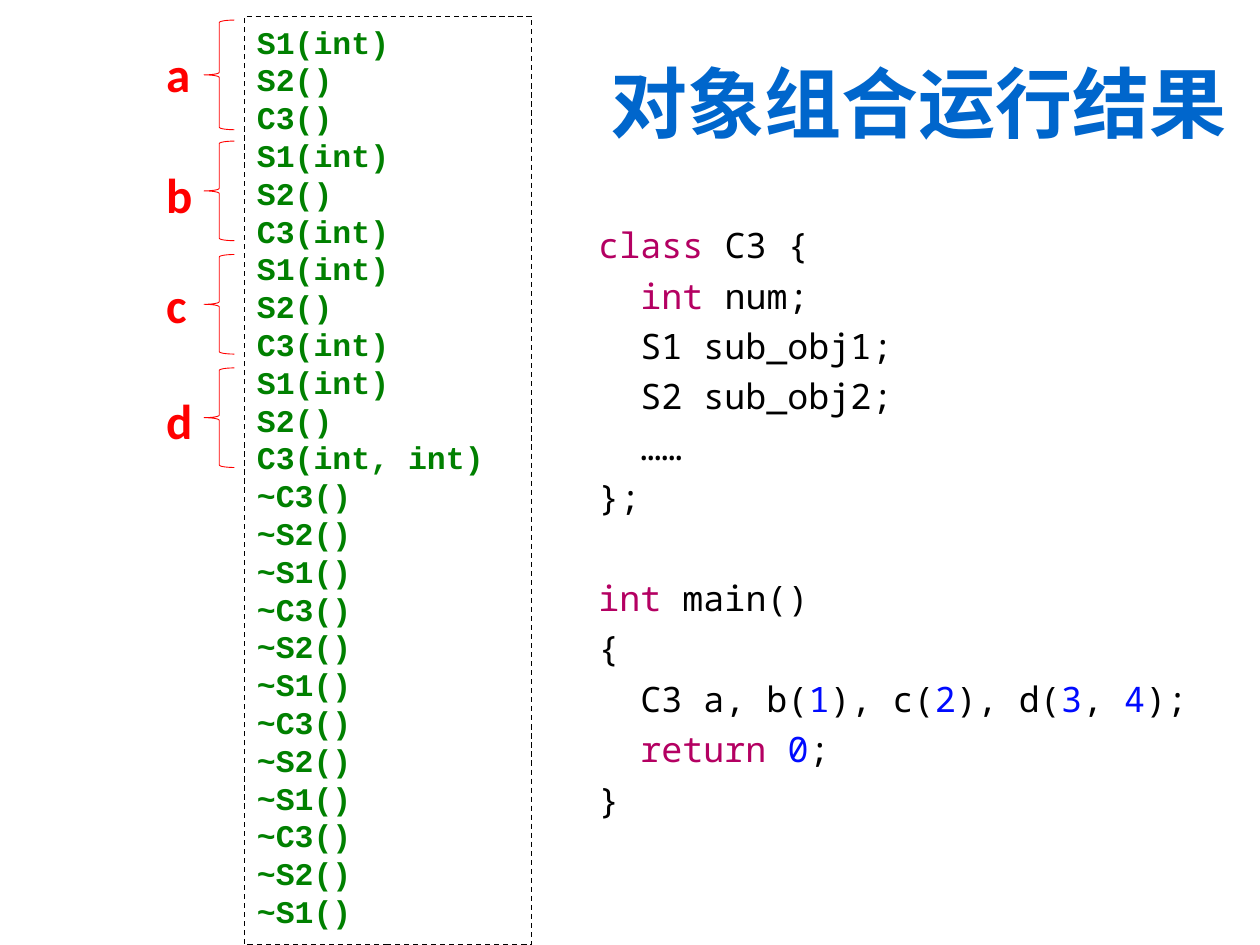
from pptx import Presentation
from pptx.dml.color import RGBColor
from pptx.enum.dml import MSO_LINE
from pptx.enum.shapes import MSO_SHAPE
from pptx.enum.text import MSO_ANCHOR, PP_ALIGN
from pptx.oxml.ns import qn
from pptx.util import Inches, Pt

COLORS = {"title": "0066CC", "output": "008000", "mark": "FF0000",
          "keyword": "B40062", "number": "000BFF", "plain": "000000"}


def color(name):
    return RGBColor.from_string(COLORS[name])


def style(span, font, size, name, bold=False):
    span.font.name = font
    span.font.size = Pt(size)
    span.font.bold = bold
    span.font.color.rgb = color(name)
    east_asian = span.font._element.makeelement(qn("a:ea"), {"typeface": font})
    span.font._element.find(qn("a:latin")).addnext(east_asian)


deck = Presentation()
deck.slide_width, deck.slide_height = Inches(10), Inches(7.5)
page = deck.slides.add_slide(deck.slide_layouts[5])

# Title
title = page.shapes.title
title.left, title.top = Inches(1.22), Inches(0.13)
title.width, title.height = Inches(8.62), Inches(1.45)
title.text_frame.text = "对象组合运行结果"
title.text_frame.vertical_anchor = MSO_ANCHOR.MIDDLE
para = title.text_frame.paragraphs[0]
para.alignment = PP_ALIGN.RIGHT
para.line_spacing = 0.9
style(para.runs[0], "Noto Sans CJK SC", 44, "title", True)

# Program output: four constructions, then four destructions
constructors = ["C3()", "C3(int)", "C3(int)", "C3(int, int)"]
output_lines = []
for constructor in constructors:
    output_lines += ["S1(int)", "S2()", constructor]
output_lines += ["~C3()", "~S2()", "~S1()"] * len(constructors)

output = page.shapes.add_shape(MSO_SHAPE.RECTANGLE, Inches(1.94), Inches(0.13),
                               Inches(2.28), Inches(7.37))
output.shadow.inherit = False
output.fill.background()
output.line.color.rgb = color("plain")
output.line.width = Pt(0.75)
output.line.dash_style = MSO_LINE.DASH
output.text_frame.vertical_anchor = MSO_ANCHOR.TOP
output.text_frame.text = "\n".join(output_lines)
for para in output.text_frame.paragraphs:
    para.alignment = PP_ALIGN.LEFT
    para.line_spacing = Pt(21.6)
    style(para.runs[0], "Courier New", 18, "output", True)

# Braces with the object names
for name, brace_top, height, label_top in [("a", 0.16, 0.87, 0.3), ("b", 1.12, 0.79, 1.26),
                                           ("c", 2.02, 0.79, 2.13), ("d", 2.92, 0.79, 3.05)]:
    brace = page.shapes.add_shape(MSO_SHAPE.LEFT_BRACE, Inches(1.62), Inches(brace_top),
                                  Inches(0.24), Inches(height))
    brace.shadow.inherit = False
    brace.fill.background()
    brace.line.color.rgb = color("mark")
    brace.line.width = Pt(0.5)
    label = page.shapes.add_textbox(Inches(1.22), Inches(label_top), Inches(0.4), Inches(0.57))
    label.text_frame.word_wrap = False
    label.text_frame.text = name
    style(label.text_frame.paragraphs[0].runs[0], "Calibri", 28, "mark", True)

# Source code: indent level, then the coloured pieces of each line
code_lines = [
    (0, [("class", "keyword"), (" C3 {", "plain")]),
    (1, [("int ", "keyword"), ("num;", "plain")]),
    (1, [("S1 sub_obj1;", "plain")]),
    (1, [("S2 sub_obj2;", "plain")]),
    (1, [("……", "plain")]),
    (0, [("};", "plain")]),
    (0, [("int", "keyword"), (" main()", "plain")]),
    (0, [("{", "plain")]),
    (1, [("C3 a, b(", "plain"), ("1", "number"), ("), c(", "plain"), ("2", "number"),
         ("), d(", "plain"), ("3", "number"), (", ", "plain"), ("4", "number"),
         (");", "plain")]),
    (1, [("return ", "keyword"), ("0", "number"), (";", "plain")]),
    (0, [("}", "plain")]),
]
code = page.shapes.add_textbox(Inches(4.65), Inches(1.66), Inches(5.35), Inches(4.91))
code.text_frame.word_wrap = True
for index, (level, pieces) in enumerate(code_lines):
    para = code.text_frame.add_paragraph() if index else code.text_frame.paragraphs[0]
    para.line_spacing = 1.2
    para._p.get_or_add_pPr().set("marL", str(Pt(24) * level))
    if pieces[0][0] == "int":
        para.space_before = Pt(28.8)
    for text, name in pieces:
        span = para.add_run()
        span.text = text
        style(span, "Noto Sans Mono", 20, name)

deck.save("out.pptx")
